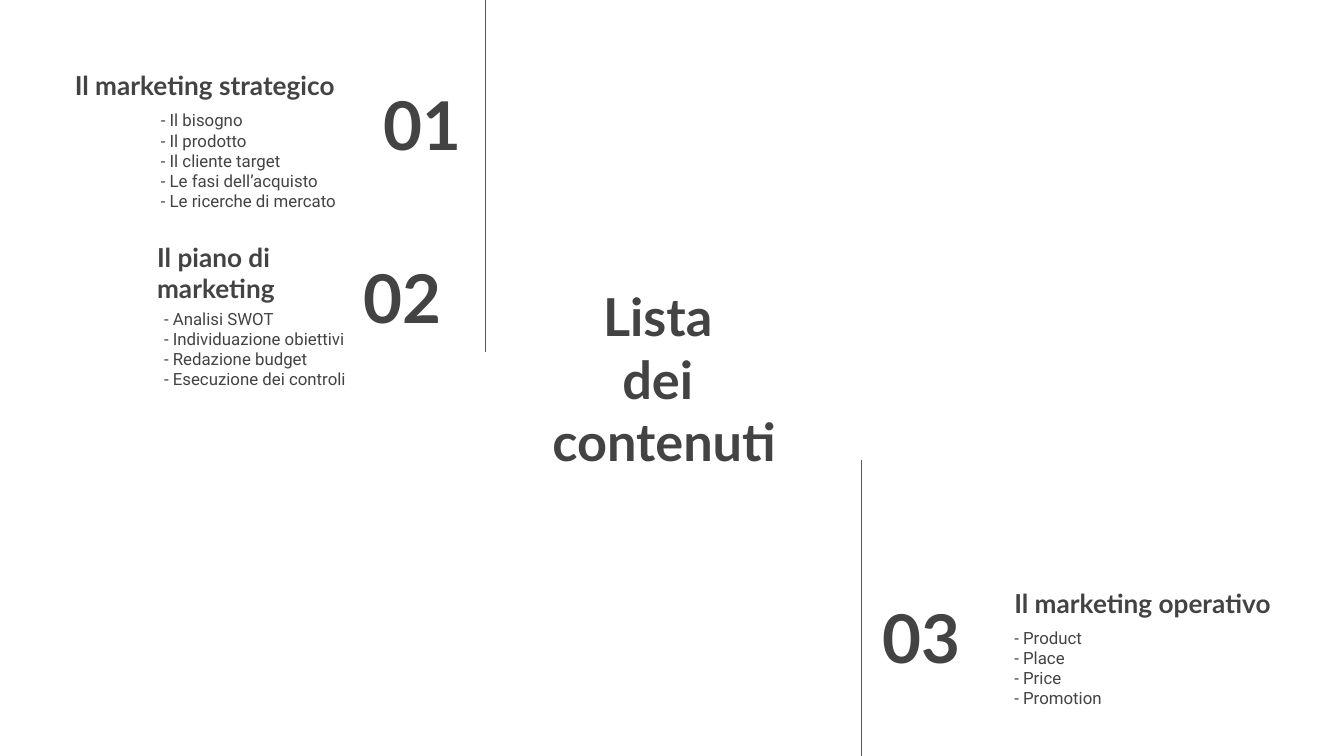
from pptx import Presentation
from pptx.dml.color import RGBColor
from pptx.enum import shapes, text
from pptx.oxml import parse_xml
from pptx.oxml.ns import nsdecls
from pptx.util import Cm, Pt

INK = "434343"
RULE = "595959"
LEFT, CENTER, RIGHT = text.PP_ALIGN.LEFT, text.PP_ALIGN.CENTER, text.PP_ALIGN.RIGHT
TOP, MIDDLE, BOTTOM = text.MSO_ANCHOR.TOP, text.MSO_ANCHOR.MIDDLE, text.MSO_ANCHOR.BOTTOM


def color(value):
    return RGBColor.from_string(value)


def place(shape, left, top, width, height):
    shape.left, shape.top = Cm(left), Cm(top)
    shape.width, shape.height = Cm(width), Cm(height)


def write(shape, paragraphs, size, font="Lato", bold=True, align=LEFT, anchor=TOP):
    """Fill a text shape; each paragraph is a list of lines."""
    frame = shape.text_frame
    frame.word_wrap = True
    frame.auto_size = text.MSO_AUTO_SIZE.NONE
    frame.vertical_anchor = anchor
    frame.margin_left = frame.margin_right = Cm(0.25)
    frame.margin_top = frame.margin_bottom = Cm(0.25)
    for index, lines in enumerate(paragraphs):
        paragraph = frame.add_paragraph() if index else frame.paragraphs[0]
        properties = paragraph._p.get_or_add_pPr()
        properties.set("marL", "0")
        properties.set("indent", "0")
        properties.append(parse_xml(f"<a:buNone {nsdecls('a')}/>"))
        paragraph.alignment = align
        paragraph.space_before = Pt(0)
        for number, line in enumerate(lines):
            if number:
                paragraph.add_line_break()
            run = paragraph.add_run()
            run.text = line
            run.font.name, run.font.size, run.font.bold = font, Pt(size), bold
            run.font.color.rgb = color(INK)


def add_title(slide, box):
    place(slide.shapes.title, *box)
    write(slide.shapes.title, [["Lista ", "dei ", "contenuti"]], 28, align=CENTER, anchor=MIDDLE)


def add_section(slide, box, section):
    """Place heading, list and number relative to the box's top left corner."""
    left, top, width, height = box
    align = section["align"]

    # Heading
    heading = slide.shapes.add_textbox(0, 0, 0, 0)
    place(heading, left, top, width, 1.6)
    write(heading, [section["heading"]], 14, align=align, anchor=BOTTOM)

    # Topic list
    across, down = section["list_offset"]
    topics = slide.placeholders[section["placeholder"]]
    place(topics, left + across, top + down, 4.65, height - down)
    write(topics, [[f"- {topic}"] for topic in section["topics"]], 9, "Roboto", False)

    # Number
    across, down = section["number_offset"]
    number = slide.shapes.add_textbox(0, 0, 0, 0)
    place(number, left + across, top + down, 3, 1.6)
    write(number, [[section["number"]]], 36, align=align, anchor=MIDDLE)


def add_rule(slide, x, top, bottom):
    line = slide.shapes.add_connector(
        shapes.MSO_CONNECTOR.STRAIGHT, Cm(x), Cm(top), Cm(x), Cm(bottom))
    line.line.color.rgb = color(RULE)
    line.line.width = Pt(0.75)
    line._element.spPr.append(parse_xml(f"<a:effectLst {nsdecls('a')}/>"))


SECTIONS = [
    ((1.09, 0.56, 5.49, 3.6), dict(
        number="01", heading=["Il marketing strategico"], align=RIGHT, placeholder=1,
        list_offset=(1.7, 1.27), number_offset=(4.88, 0.97),
        topics=["Il bisogno", "Il prodotto", "Il cliente target",
                "Le fasi dell’acquisto", "Le ricerche di mercato"])),
    ((2.72, 4.39, 5.49, 3.86), dict(
        number="02", heading=["Il piano di", "marketing"], align=LEFT, placeholder=2,
        list_offset=(0.13, 1.19), number_offset=(3.91, 0.41),
        topics=["Analisi SWOT", "Individuazione obiettivi",
                "Redazione budget", "Esecuzione dei controli"])),
    ((18.92, 10.34, 5.49, 3.2), dict(
        number="03", heading=["Il marketing operativo"], align=LEFT, placeholder=3,
        list_offset=(0, 1.27), number_offset=(-2.49, 0.89),
        topics=["Product", "Place", "Price", "Promotion"])),
]


def main():
    presentation = Presentation()
    presentation.slide_width, presentation.slide_height = Cm(25.4), Cm(14.29)
    # The comparison layout offers a title and enough body placeholders
    slide = presentation.slides.add_slide(presentation.slide_layouts[4])

    add_title(slide, (8.92, 5.84, 7.26, 2.62))
    for box, section in SECTIONS:
        add_section(slide, box, section)

    # Vertical rules
    add_rule(slide, 9.17, 0, 6.65)
    add_rule(slide, 16.28, 8.69, 14.29)

    # Unused placeholder
    unused = slide.placeholders[4]._element
    unused.getparent().remove(unused)

    presentation.save("out.pptx")


if __name__ == "__main__":
    main()
